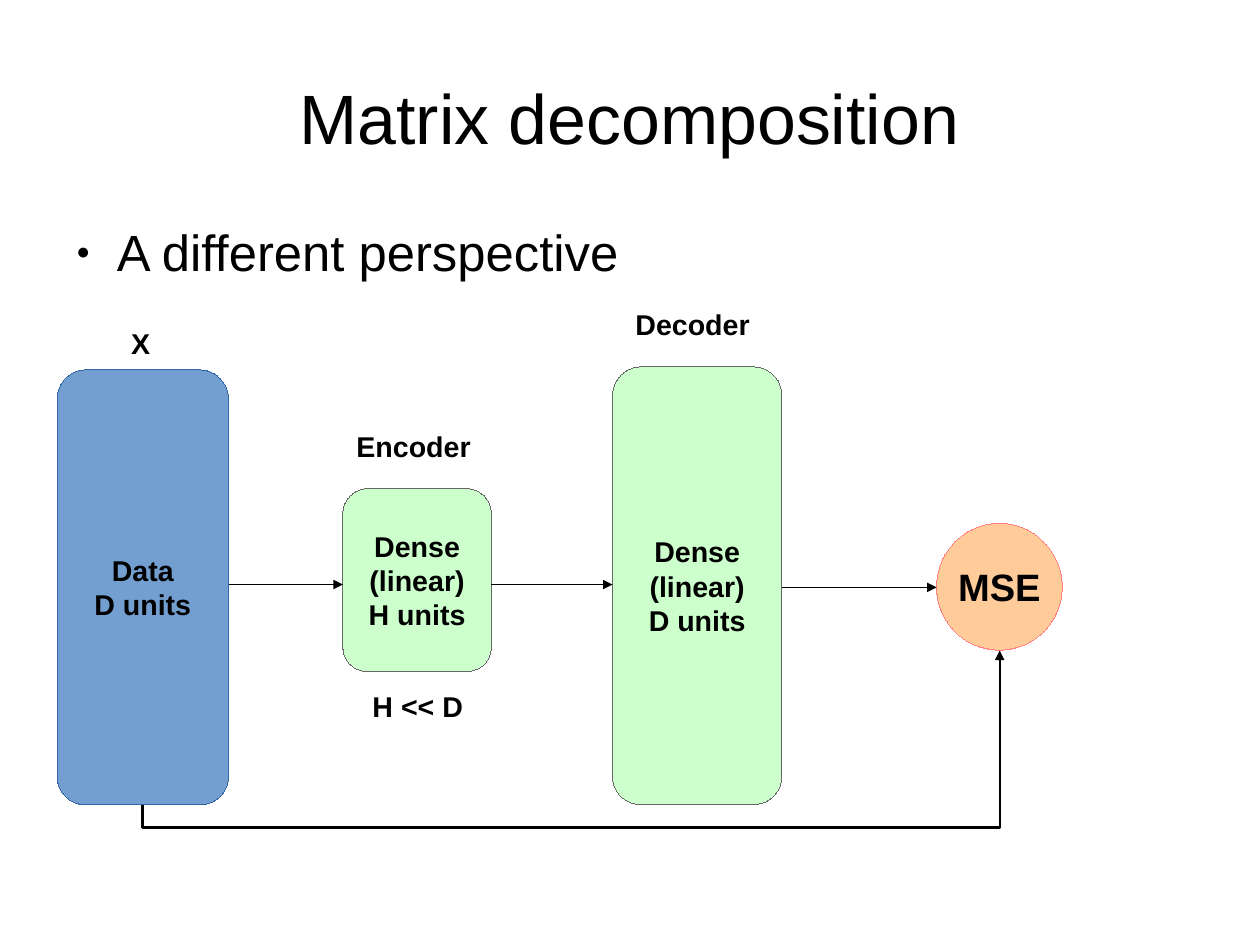
from lxml import etree
from pptx import Presentation
from pptx.dml.color import RGBColor
from pptx.enum.shapes import MSO_CONNECTOR, MSO_SHAPE
from pptx.enum.text import MSO_ANCHOR, MSO_AUTO_SIZE, PP_ALIGN
from pptx.oxml.ns import qn
from pptx.util import Pt

CENTER, LEFT = PP_ALIGN.CENTER, PP_ALIGN.LEFT
MIDDLE, TOP = MSO_ANCHOR.MIDDLE, MSO_ANCHOR.TOP
STRAIGHT, ELBOW = MSO_CONNECTOR.STRAIGHT, MSO_CONNECTOR.ELBOW
ROUNDED, OVAL = MSO_SHAPE.ROUNDED_RECTANGLE, MSO_SHAPE.OVAL

COLORS = {
    "black": "000000",
    "data": "729FCF", "data edge": "3465A4",
    "layer": "CCFFCC", "layer edge": "666666",
    "loss": "FFCC99", "loss edge": "FF8080",
}


def style_text(frame, size, bold=False, align=CENTER, anchor=MIDDLE):
    frame.vertical_anchor = anchor
    for paragraph in frame.paragraphs:
        paragraph.alignment = align
        paragraph.font.name = "Arial"
        paragraph.font.size = Pt(size)
        paragraph.font.bold = bold
        paragraph.font.color.rgb = RGBColor.from_string(COLORS["black"])


def style_line(line, color_name, weight=0):
    """Colour a line and state its weight, also when it is a hairline of 0."""
    line.color.rgb = RGBColor.from_string(COLORS[color_name])
    outline = line._get_or_add_ln()
    outline.set("w", str(Pt(weight)))
    return outline


prs = Presentation()
prs.slide_width, prs.slide_height = Pt(793.75), Pt(595.25)
slide = prs.slides.add_slide(prs.slide_layouts[1])
shapes = slide.shapes

# Title and bullet
title, body = shapes.title, slide.placeholders[1]
headings = (
    (title, 23.8, 99.4, "Matrix decomposition"),
    (body, 139, 344.9, "A different perspective"),
)
for holder, top, height, text in headings:
    holder.left, holder.top = Pt(39.6), Pt(top)
    holder.width, holder.height = Pt(714.2), Pt(height)
    frame = holder.text_frame
    frame.text = text
    frame.margin_left = frame.margin_right = 0
    frame.margin_top = frame.margin_bottom = 0
    frame.word_wrap = True
    frame.auto_size = MSO_AUTO_SIZE.NONE

style_text(title.text_frame, 44)

perspective = body.text_frame.paragraphs[0]
bullet = perspective._p.get_or_add_pPr()
bullet.set("marL", str(Pt(34)))
bullet.set("indent", str(Pt(-25.5)))
bullet_color = etree.SubElement(bullet, qn("a:buClr"))
etree.SubElement(bullet_color, qn("a:srgbClr"), val=COLORS["black"])
etree.SubElement(bullet, qn("a:buSzPct"), val="45000")
etree.SubElement(bullet, qn("a:buChar"), char="●")
style_text(body.text_frame, 32, align=LEFT, anchor=TOP)
perspective.space_before = Pt(0)
perspective.space_after = Pt(14.2)

# Network blocks
blocks = (
    (ROUNDED, 36, 233, 108, 274, "data", "Data\nD units", 18),
    (ROUNDED, 216, 307.8, 93.6, 115.2, "layer", "Dense\n(linear)\nH units", 18),
    (ROUNDED, 385.9, 231.1, 106.6, 275.6, "layer", "Dense\n(linear)\nD units", 18),
    (OVAL, 590, 329.6, 79.2, 79.9, "loss", "MSE", 24),
)
for outline, left, top, width, height, role, text, size in blocks:
    block = shapes.add_shape(outline, Pt(left), Pt(top), Pt(width), Pt(height))
    block.shadow.inherit = False
    block.fill.solid()
    block.fill.fore_color.rgb = RGBColor.from_string(COLORS[role])
    style_line(block.line, role + " edge")
    block.text_frame.text = text
    block.text_frame.word_wrap = False
    style_text(block.text_frame, size, bold=True)

# Labels above and below the blocks
labels = (
    ("X", 75.6, 201.6, 25.9),
    ("Encoder", 217.4, 266.8, 86.4),
    ("Decoder", 393.1, 190.1, 86.4),
    ("H << D", 227.5, 430.3, 71.3),
)
for text, left, top, width in labels:
    label = shapes.add_textbox(Pt(left), Pt(top), Pt(width), Pt(27.4))
    label.text_frame.text = text
    label.text_frame.word_wrap = False
    style_text(label.text_frame, 18, bold=True, anchor=TOP)

# Arrows; the elbow from data to loss is laid out before its quarter turn
arrows = (
    (STRAIGHT, 144, 368.2, 216, 368.2, 0),
    (STRAIGHT, 309.6, 368.2, 385.9, 368.2, 0),
    (STRAIGHT, 492.5, 370, 590, 370, 0),
    (ELBOW, 408.4, 728.4, 311.2, 188.4, 1.45),
)
for kind, x1, y1, x2, y2, weight in arrows:
    arrow = shapes.add_connector(kind, Pt(x1), Pt(y1), Pt(x2), Pt(y2))
    outline = style_line(arrow.line, "black", weight)
    etree.SubElement(outline, qn("a:tailEnd"), type="triangle")
    properties = arrow._element.spPr
    etree.SubElement(properties, qn("a:effectLst"))
    if kind == ELBOW:
        properties.find(qn("a:xfrm")).set("rot", "5400000")
        adjustments = properties.find(qn("a:prstGeom")).get_or_add_avLst()
        etree.SubElement(adjustments, qn("a:gd"), name="adj1", fmla="val -14600")

prs.save("out.pptx")
